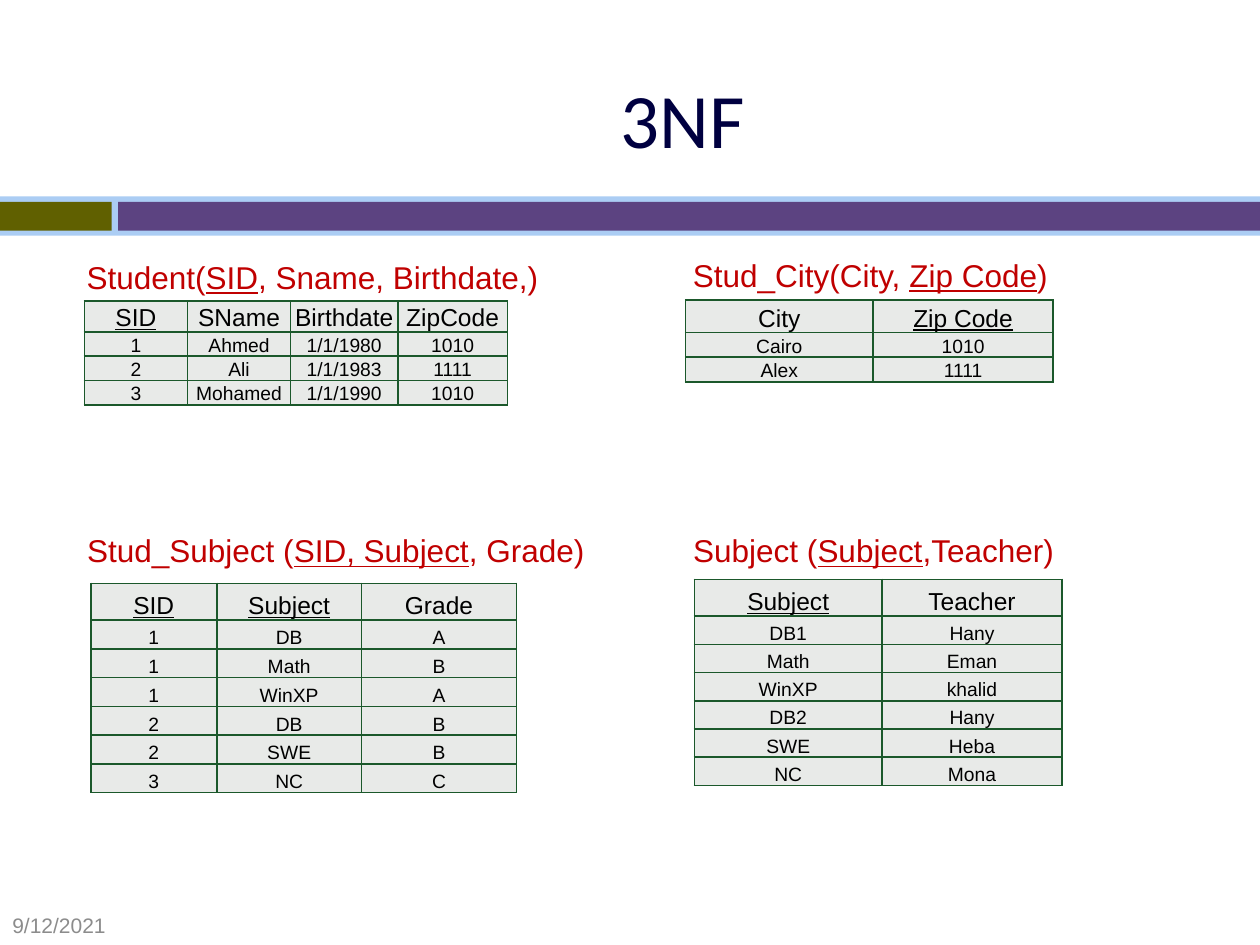
"""Build the 3NF slide: four relation schemas, each with its sample table."""
import dataclasses

import lxml.etree
import pptx
import pptx.dml.color
import pptx.enum.shapes
import pptx.enum.text
import pptx.oxml.ns
import pptx.util
from pptx.util import Cm

RGBColor = pptx.dml.color.RGBColor
NAVY = RGBColor(0x00, 0x00, 0x40)
BLACK = RGBColor(0x00, 0x00, 0x00)
RED = RGBColor(0xC0, 0x00, 0x00)
GRAY = RGBColor(0x8C, 0x8C, 0x8C)
GREEN = RGBColor(0x1B, 0x58, 0x2B)
CELL_FILL = RGBColor(0xE8, 0xEA, 0xE8)
SKY = RGBColor(0xAB, 0xCD, 0xF4)
OLIVE = RGBColor(0x60, 0x60, 0x00)
PURPLE = RGBColor(0x5C, 0x43, 0x81)

CENTER = pptx.enum.text.PP_ALIGN.CENTER
MIDDLE = pptx.enum.text.MSO_ANCHOR.MIDDLE
BOTTOM = pptx.enum.text.MSO_ANCHOR.BOTTOM


@dataclasses.dataclass(frozen=True)
class Band:
    left: float
    top: float
    width: float
    height: float
    color: RGBColor


@dataclasses.dataclass(frozen=True)
class Schema:
    left: float
    top: float
    width: float
    indent: float
    wording: tuple[str, str, str]


@dataclasses.dataclass(frozen=True)
class Relation:
    left: float
    top: float
    columns: tuple[float, ...]
    header_height: float
    row_height: float
    header: tuple[str, ...]
    keys: tuple[str, ...]
    rows: tuple[str, ...]


BANDS = (
    Band(0, 3.96, 25.4, 0.79, SKY),
    Band(0, 4.07, 2.25, 0.58, OLIVE),
    Band(2.38, 4.07, 23.02, 0.58, PURPLE),
)
SCHEMAS = (
    Schema(-1.47, 5.08, 14.83, 0.71, ("Student(", "SID", ", Sname, Birthdate,)")),
    Schema(-1.04, 10.59, 14.91, 0.71, ("Stud_Subject (", "SID, Subject", ", Grade)")),
    Schema(9.8, 10.59, 14.91, 0.71, ("Subject (", "Subject", ",Teacher)")),
    Schema(13.67, 5.03, 7.75, 0, ("Stud_City(City, ", "Zip Code", ")")),
)
RELATIONS = (
    Relation(1.7, 6.07, (2.08, 2.08, 2.16, 2.21), 0.62, 0.49,
             ("SID", "SName", "Birthdate", "ZipCode"), ("SID",),
             ("1 Ahmed 1/1/1980 1010", "2 Ali 1/1/1983 1111",
              "3 Mohamed 1/1/1990 1010")),
    Relation(1.83, 11.76, (2.54, 2.92, 3.12), 0.74, 0.58,
             ("SID", "Subject", "Grade"), ("SID", "Subject"),
             ("1 DB A", "1 Math B", "1 WinXP A", "2 DB B", "2 SWE B", "3 NC C")),
    Relation(14, 11.68, (3.78, 3.63), 0.74, 0.57,
             ("Subject", "Teacher"), ("Subject",),
             ("DB1 Hany", "Math Eman", "WinXP khalid", "DB2 Hany", "SWE Heba",
              "NC Mona")),
    Relation(13.82, 6.05, (3.78, 3.63), 0.65, 0.5,
             ("City", "Zip Code"), ("Zip Code",),
             ("Cairo 1010", "Alex 1111")),
)


def format_span(span, size: float, color: RGBColor, name: str = "Arial") -> None:
    span.font.name = name
    span.font.size = pptx.util.Pt(size)
    span.font.color.rgb = color


def draw_title(page) -> None:
    title = page.shapes.title
    title.left, title.top, title.width, title.height = Cm(2.34), Cm(0.79), Cm(22.86), Cm(3.17)
    title.text_frame.text = "3NF"
    title.text_frame.vertical_anchor = MIDDLE
    para = title.text_frame.paragraphs[0]
    para.alignment = CENTER
    format_span(para.runs[0], 44, NAVY, "Calibri")


def draw_band(page, band: Band) -> None:
    shape = page.shapes.add_shape(
        pptx.enum.shapes.MSO_SHAPE.RECTANGLE,
        Cm(band.left), Cm(band.top), Cm(band.width), Cm(band.height))
    shape.shadow.inherit = False
    shape.fill.solid()
    shape.fill.fore_color.rgb = band.color
    shape.line.fill.background()


def draw_schema(page, schema: Schema) -> None:
    box = page.shapes.add_textbox(
        Cm(schema.left), Cm(schema.top), Cm(schema.width), Cm(1.02))
    box.text_frame.word_wrap = True
    box.text_frame.margin_left = Cm(0.25 + schema.indent)
    para = box.text_frame.paragraphs[0]
    para.alignment = CENTER
    for wording in schema.wording:
        span = para.add_run()
        span.text = wording
        format_span(span, 18, RED)
    para.runs[1].font.underline = True


def draw_borders(cell) -> None:
    properties = cell._tc.get_or_add_tcPr()
    for position, side in enumerate(("a:lnL", "a:lnR", "a:lnT", "a:lnB")):
        line = lxml.etree.Element(pptx.oxml.ns.qn(side), w=str(pptx.util.Pt(1)))
        fill = lxml.etree.SubElement(line, pptx.oxml.ns.qn("a:solidFill"))
        lxml.etree.SubElement(fill, pptx.oxml.ns.qn("a:srgbClr"), val=str(GREEN))
        properties.insert(position, line)


def draw_cell(cell, text: str, size: float, underline: bool) -> None:
    cell.margin_left = cell.margin_right = cell.margin_top = Cm(0.02)
    cell.margin_bottom = 0
    cell.vertical_anchor = BOTTOM
    cell.fill.solid()
    cell.fill.fore_color.rgb = CELL_FILL
    draw_borders(cell)
    cell.text_frame.text = text
    para = cell.text_frame.paragraphs[0]
    para.alignment = CENTER
    format_span(para.runs[0], size, BLACK)
    para.runs[0].font.underline = underline


def draw_relation(page, relation: Relation) -> None:
    records = [relation.header, *(row.split() for row in relation.rows)]
    height = relation.header_height + relation.row_height * len(relation.rows)
    table = page.shapes.add_table(
        len(records), len(relation.columns), Cm(relation.left), Cm(relation.top),
        Cm(sum(relation.columns)), Cm(height)).table
    table.first_row = table.horz_banding = False
    for column, width in zip(table.columns, relation.columns):
        column.width = Cm(width)
    for index, record in enumerate(records):
        is_header = index == 0
        table.rows[index].height = Cm(
            relation.header_height if is_header else relation.row_height)
        for position, text in enumerate(record):
            draw_cell(table.cell(index, position), text, 14 if is_header else 11,
                      is_header and text in relation.keys)


def draw_date(page) -> None:
    box = page.shapes.add_textbox(0, Cm(18.26), Cm(5), Cm(0.79))
    box.text_frame.word_wrap = True
    box.text_frame.vertical_anchor = MIDDLE
    box.text_frame.text = "9/12/2021"
    format_span(box.text_frame.paragraphs[0].runs[0], 12, GRAY)


def main() -> None:
    deck = pptx.Presentation()
    deck.slide_width, deck.slide_height = Cm(25.4), Cm(19.05)
    page = deck.slides.add_slide(deck.slide_layouts.get_by_name("Title Only"))
    for band in BANDS:
        draw_band(page, band)
    draw_title(page)
    draw_date(page)
    for relation in RELATIONS:
        draw_relation(page, relation)
    for schema in SCHEMAS:
        draw_schema(page, schema)
    deck.save("out.pptx")


if __name__ == "__main__":
    main()
